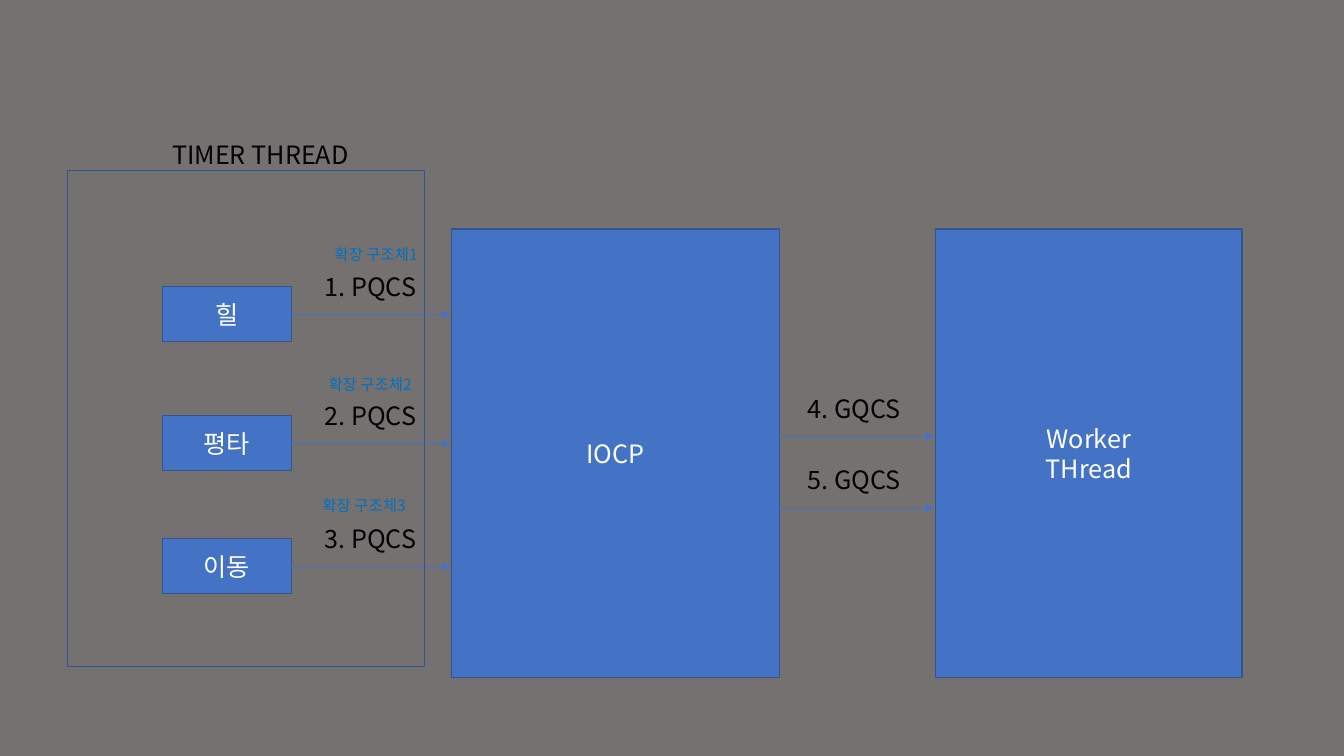
import dataclasses

import pptx
import pptx.dml.color
import pptx.enum.shapes
import pptx.enum.text
import pptx.oxml
import pptx.oxml.ns
import pptx.util
from pptx.util import Inches


@dataclasses.dataclass(frozen=True)
class Theme:
    font: str = "Noto Sans CJK KR"
    background: str = "767171"
    fill: str = "4472C4"
    outline: str = "325491"
    light: str = "FFFFFF"
    dark: str = "000000"
    accent: str = "0070C0"
    body_size: int = 18
    note_size: int = 11
    outline_width: float = 1
    arrow_width: float = 0.5


def rgb(value):
    return pptx.dml.color.RGBColor.from_string(value)


def add_element(parent, tag, **attributes):
    """Append an empty DrawingML element such as a:ea to parent."""
    element = pptx.oxml.parse_xml(f"<{tag} {pptx.oxml.ns.nsdecls('a')}/>")
    for name, value in attributes.items():
        element.set(name, value)
    parent.append(element)


class Diagram:
    def __init__(self, slide, theme):
        self.shapes = slide.shapes
        self.theme = theme
        slide.background.fill.solid()
        slide.background.fill.fore_color.rgb = rgb(theme.background)

    def add_span(self, para, text, size, color):
        span = para.add_run()
        span.text = text
        span.font.size = pptx.util.Pt(size)
        span.font.color.rgb = rgb(color)
        span.font.name = self.theme.font
        add_element(span._r.get_or_add_rPr(), "a:ea", typeface=self.theme.font)

    def frame(self, left, top, width, height):
        """Draw an outlined rectangle without a fill."""
        shape = self.shapes.add_shape(
            pptx.enum.shapes.MSO_SHAPE.RECTANGLE,
            Inches(left), Inches(top), Inches(width), Inches(height))
        shape.shadow.inherit = False
        shape.fill.background()
        shape.line.color.rgb = rgb(self.theme.outline)
        shape.line.width = pptx.util.Pt(self.theme.outline_width)
        return shape

    def box(self, left, top, width, height, *lines):
        """Draw a filled rectangle with one centred paragraph per line."""
        shape = self.frame(left, top, width, height)
        shape.fill.solid()
        shape.fill.fore_color.rgb = rgb(self.theme.fill)
        text_frame = shape.text_frame
        text_frame.word_wrap = True
        text_frame.vertical_anchor = pptx.enum.text.MSO_ANCHOR.MIDDLE
        for index, line in enumerate(lines):
            para = text_frame.add_paragraph() if index else text_frame.paragraphs[0]
            para.alignment = pptx.enum.text.PP_ALIGN.CENTER
            self.add_span(para, line, self.theme.body_size, self.theme.light)

    def label(self, left, top, width, height, text, size, color):
        box = self.shapes.add_textbox(
            Inches(left), Inches(top), Inches(width), Inches(height))
        box.text_frame.word_wrap = False
        box.text_frame.auto_size = pptx.enum.text.MSO_AUTO_SIZE.SHAPE_TO_FIT_TEXT
        self.add_span(box.text_frame.paragraphs[0], text, size, color)

    def heading(self, left, top, width, text):
        self.label(left, top, width, 0.4, text, self.theme.body_size, self.theme.dark)

    def note(self, left, top, text):
        self.label(left, top, 1.11, 0.29, text, self.theme.note_size, self.theme.accent)

    def arrow(self, left, right, y):
        connector = self.shapes.add_connector(
            pptx.enum.shapes.MSO_CONNECTOR.STRAIGHT,
            Inches(left), Inches(y), Inches(right), Inches(y))
        connector.line.color.rgb = rgb(self.theme.fill)
        connector.line.width = pptx.util.Pt(self.theme.arrow_width)
        add_element(connector.get_or_add_ln(), "a:tailEnd", type="triangle")
        add_element(connector.element.spPr, "a:effectLst")


def main():
    deck = pptx.Presentation()
    deck.slide_width = Inches(13.33)
    deck.slide_height = Inches(7.5)
    page = deck.slides.add_slide(deck.slide_layouts[6])
    diagram = Diagram(page, Theme())

    diagram.box(4.48, 2.27, 3.25, 4.45, "IOCP")
    diagram.box(9.28, 2.27, 3.04, 4.45, "Worker", "THread")

    # Timer events: name, arrow height, left and top of the note
    events = [("힐", 3.12, 3.22, 2.38),
              ("평타", 4.4, 3.16, 3.67),
              ("이동", 5.62, 3.1, 4.87)]
    for number, (event, y, note_left, note_top) in enumerate(events, start=1):
        diagram.box(1.61, y - 0.28, 1.28, 0.55, event)
        diagram.arrow(2.89, 4.47, y)
        diagram.heading(3.12, y - 0.48, 1.12, f"{number}. PQCS")
        diagram.note(note_left, note_top, f"확장 구조체{number}")

    for number, y in enumerate((4.33, 5.04), start=len(events) + 1):
        diagram.arrow(7.68, 9.26, y)
        diagram.heading(7.91, y - 0.48, 1.15, f"{number}. GQCS")

    diagram.frame(0.67, 1.69, 3.54, 4.92)
    diagram.heading(1.61, 1.33, 1.96, "TIMER THREAD")

    deck.save("out.pptx")


if __name__ == "__main__":
    main()
